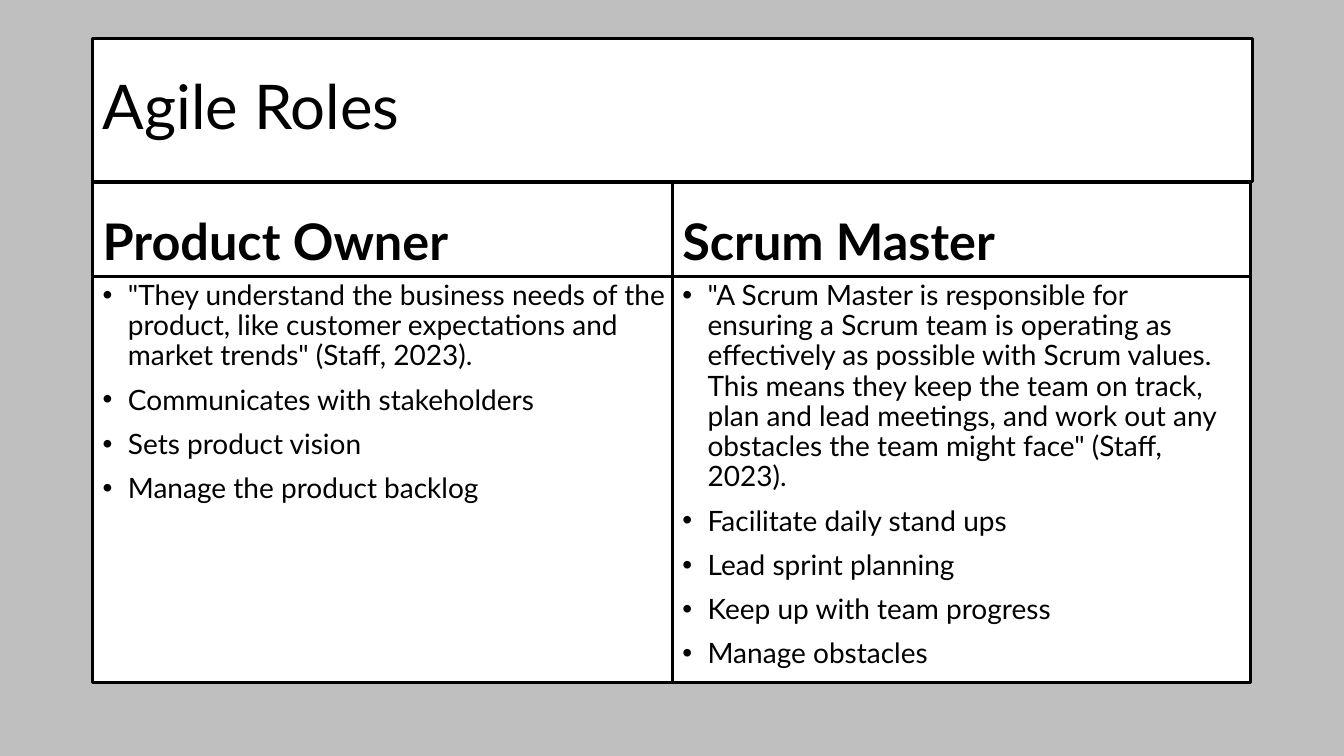
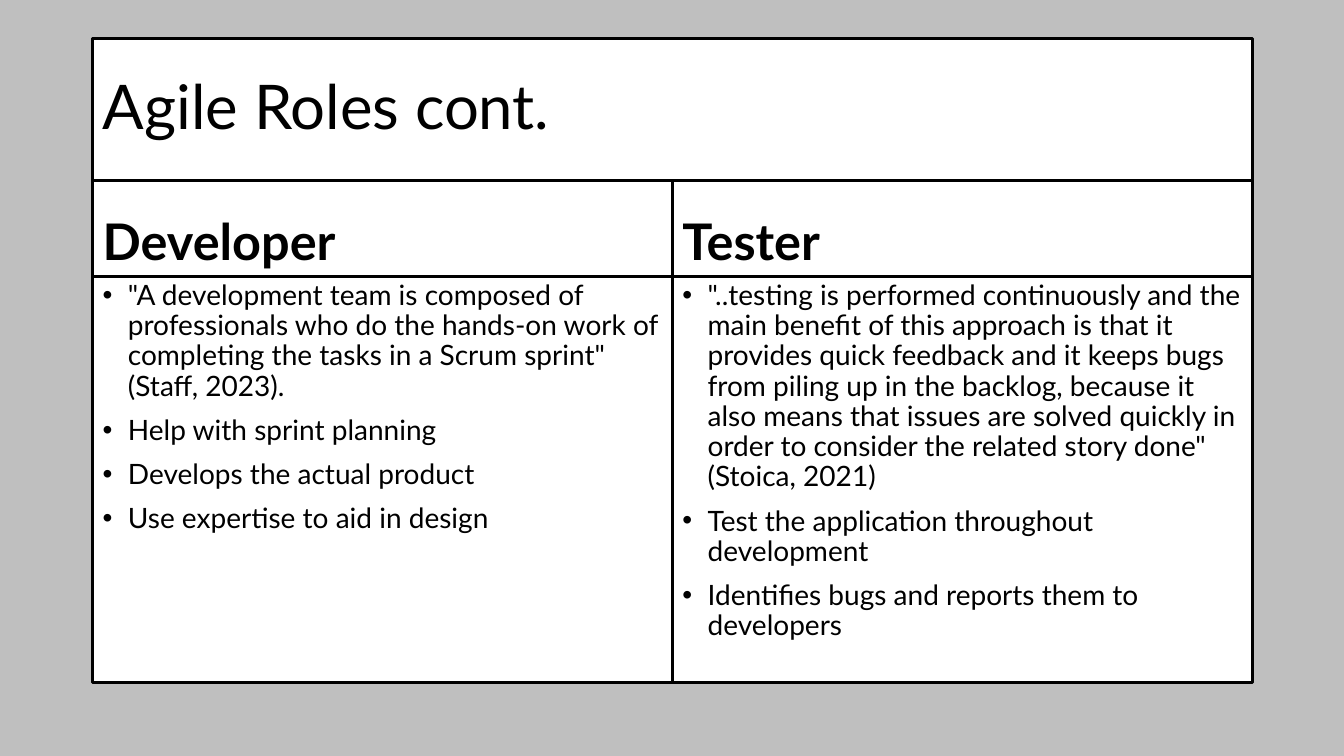
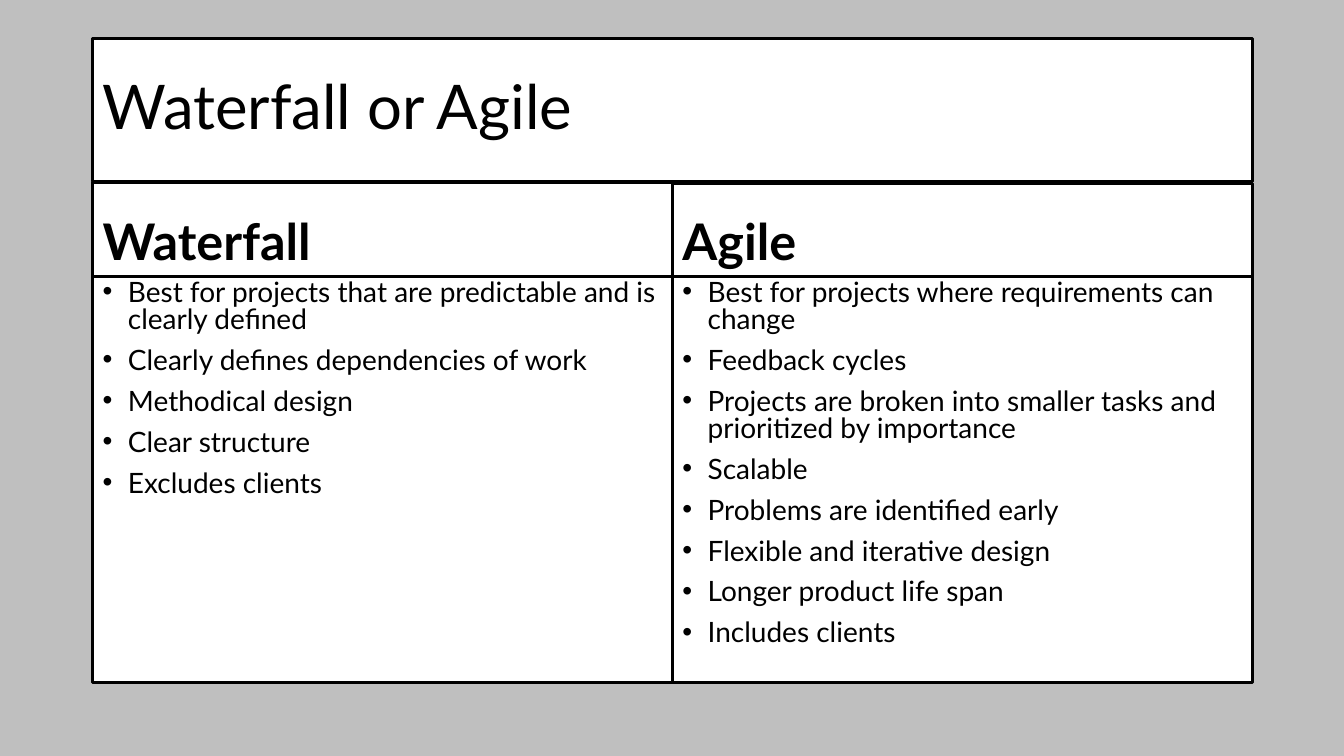
from dataclasses import dataclass

from lxml import etree
from pptx import Presentation
from pptx.dml.color import RGBColor
from pptx.enum.shapes import MSO_SHAPE
from pptx.enum.text import MSO_ANCHOR, PP_ALIGN
from pptx.oxml.ns import qn
from pptx.slide import Slide
from pptx.util import Inches, Pt

RECTANGLE = MSO_SHAPE.RECTANGLE
TOP, MIDDLE, BOTTOM = MSO_ANCHOR.TOP, MSO_ANCHOR.MIDDLE, MSO_ANCHOR.BOTTOM
LEFT = PP_ALIGN.LEFT

FONT = "Lato"
GRAY, WHITE, BLACK = "BFBFBF", "FFFFFF", "000000"

PANEL_LEFT, PANEL_WIDTH = 0.92, 11.5
TITLE_TOP, TITLE_HEIGHT = 0.38, 1.42
COLUMN_LEFTS = (PANEL_LEFT, 6.67)
BODY_TOP, BODY_HEIGHT = 2.74, 4.03
BULLET_INDENT = Inches(0.25)


@dataclass(frozen=True)
class Column:
    heading: str
    points: tuple[str, ...]
    width: float
    heading_top: float


@dataclass(frozen=True)
class Comparison:
    title: str
    columns: tuple[Column, Column]
    body_spacing: float = 0.9


COMPARISONS = (
    Comparison("Agile Roles", (
        Column("Product Owner", (
            '"They understand the business needs of the product, like customer '
            'expectations and market trends" (Staff, 2023).',
            "Communicates with stakeholders",
            "Sets product vision",
            "Manage the product backlog",
        ), 5.78, 1.81),
        Column("Scrum Master", (
            '"A Scrum Master is responsible for ensuring a Scrum team is operating '
            'as effectively as possible with Scrum values. This means they keep the '
            'team on track, plan and lead meetings, and work out any obstacles the '
            'team might face" (Staff, 2023).',
            "Facilitate daily stand ups",
            "Lead sprint planning",
            "Keep up with team progress",
            "Manage obstacles",
        ), 5.73, 1.81),
    )),
    Comparison("Agile Roles cont.", (
        Column("Developer", (
            '"A development team is composed of professionals who do the hands-on '
            'work of completing the tasks in a Scrum sprint" (Staff, 2023).',
            "Help with sprint planning",
            "Develops the actual product",
            "Use expertise to aid in design",
        ), 5.78, 1.79),
        Column("Tester", (
            '"..testing is performed continuously and the main benefit of this '
            'approach is that it provides quick feedback and it keeps bugs from '
            'piling up in the backlog, because it also means that issues are solved '
            'quickly in order to consider the related story done" (Stoica, 2021)',
            "Test the application throughout development",
            "Identifies bugs and reports them to developers",
        ), 5.75, 1.79),
    )),
    Comparison("Waterfall or Agile", (
        Column("Waterfall", (
            "Best for projects that are predictable and is clearly defined",
            "Clearly defines dependencies of work",
            "Methodical design",
            "Clear structure",
            "Excludes clients",
        ), 5.78, 1.81),
        Column("Agile", (
            "Best for projects where requirements can change",
            "Feedback cycles",
            "Projects are broken into smaller tasks and prioritized by importance",
            "Scalable",
            "Problems are identified early",
            "Flexible and iterative design",
            "Longer product life span",
            "Includes clients",
        ), 5.75, 1.82),
    ), body_spacing=0.8),
)


def color(value: str) -> RGBColor:
    return RGBColor.from_string(value)


def add_panel(slide: Slide, left: float, top: float, width: float, height: float,
              lines: tuple[str, ...], *, size: int, anchor: MSO_ANCHOR,
              bold: bool = False, bulleted: bool = False,
              spacing: float = 0.9) -> None:
    panel = slide.shapes.add_shape(
        RECTANGLE, Inches(left), Inches(top), Inches(width), Inches(height))
    panel.shadow.inherit = False
    panel.fill.solid()
    panel.fill.fore_color.rgb = color(WHITE)
    panel.line.color.rgb = color(BLACK)
    panel.line.width = Pt(2.25)
    frame = panel.text_frame
    frame.word_wrap = True
    frame.vertical_anchor = anchor
    for index, line in enumerate(lines):
        paragraph = frame.add_paragraph() if index else frame.paragraphs[0]
        if bulleted:
            properties = paragraph._p.get_or_add_pPr()
            properties.set("marL", str(BULLET_INDENT))
            properties.set("indent", str(-BULLET_INDENT))
            bullet_font = etree.SubElement(properties, qn("a:buFont"))
            bullet_font.set("typeface", "Arial")
            etree.SubElement(properties, qn("a:buChar")).set("char", "•")
        paragraph.text = line
        paragraph.alignment = LEFT
        paragraph.line_spacing = spacing
        if index:
            paragraph.space_before = Pt(10)
        font = paragraph.font
        font.name = FONT
        font.size = Pt(size)
        font.bold = bold
        font.color.rgb = color(BLACK)


def add_comparison(slide: Slide, comparison: Comparison) -> None:
    slide.background.fill.solid()
    slide.background.fill.fore_color.rgb = color(GRAY)
    add_panel(slide, PANEL_LEFT, TITLE_TOP, PANEL_WIDTH, TITLE_HEIGHT,
              (comparison.title,), size=44, anchor=MIDDLE)
    for left, column in zip(COLUMN_LEFTS, comparison.columns):
        add_panel(slide, left, column.heading_top, column.width,
                  BODY_TOP - column.heading_top, (column.heading,),
                  size=36, anchor=BOTTOM, bold=True)
        add_panel(slide, left, BODY_TOP, column.width, BODY_HEIGHT, column.points,
                  size=20, anchor=TOP, bulleted=True,
                  spacing=comparison.body_spacing)


def main() -> None:
    presentation = Presentation()
    presentation.slide_width = Inches(13.33)
    presentation.slide_height = Inches(7.5)
    blank = presentation.slide_layouts[6]
    for comparison in COMPARISONS:
        add_comparison(presentation.slides.add_slide(blank), comparison)
    presentation.save("out.pptx")


if __name__ == "__main__":
    main()
